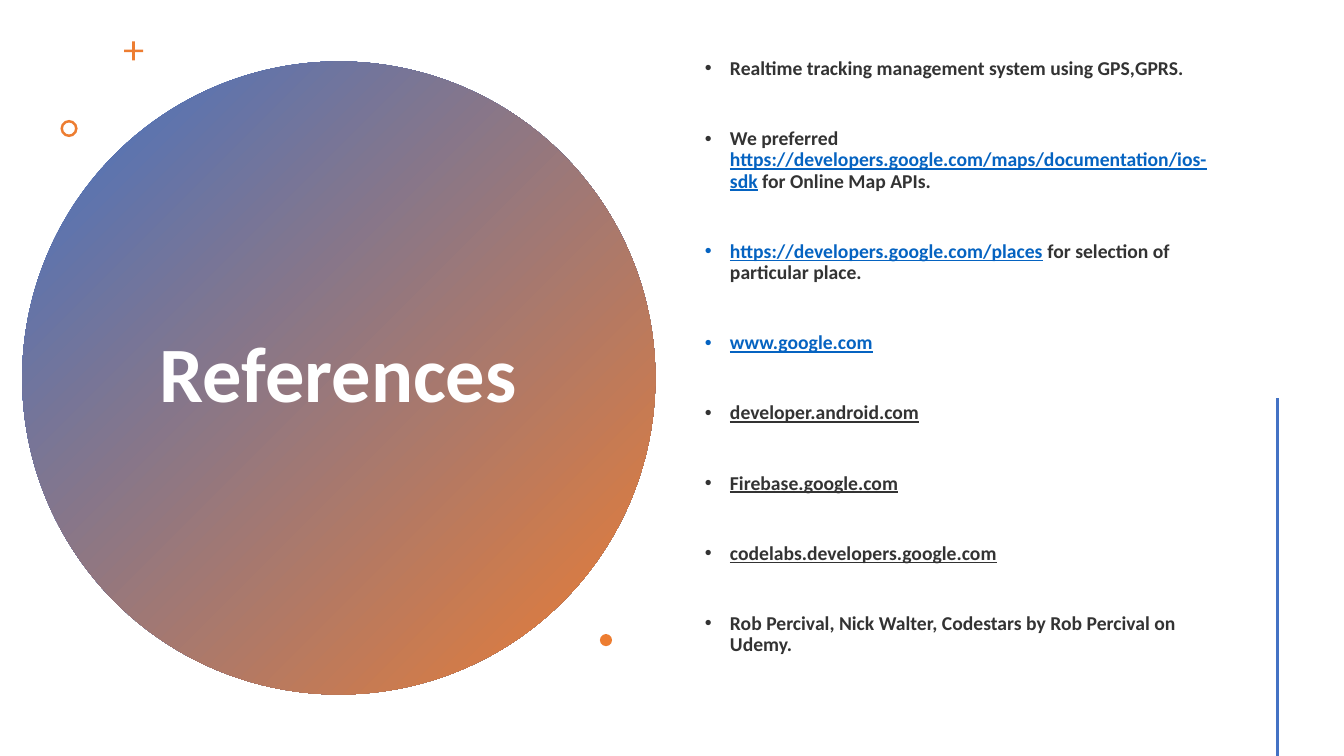
"""Build the References slide with its gradient circle, accents and source list."""
import lxml.etree
import pptx
import pptx.dml.color
import pptx.enum.shapes
import pptx.enum.text
import pptx.oxml.ns
import pptx.util
from pptx.util import Inches

BLUE = pptx.dml.color.RGBColor(0x44, 0x72, 0xC4)
ORANGE = pptx.dml.color.RGBColor(0xED, 0x7D, 0x31)
LINK_BLUE = pptx.dml.color.RGBColor(0x05, 0x63, 0xC1)
INK = pptx.dml.color.RGBColor(0x33, 0x33, 0x33)
WHITE = pptx.dml.color.RGBColor(0xFF, 0xFF, 0xFF)

PLAIN = (INK, False)
LINK = (LINK_BLUE, True)
SITE = (INK, True)

REFERENCES = [
    [("Realtime tracking management system using GPS,GPRS.", PLAIN)],
    [
        ("We preferred ", PLAIN),
        ("https://developers.google.com/maps/documentation/ios-sdk", LINK),
        (" for Online Map APIs.", PLAIN),
    ],
    [
        ("https://developers.google.com/places", LINK),
        (" for selection of particular place.", PLAIN),
    ],
    [("www.google.com", LINK)],
    [("developer.android.com", SITE)],
    [("Firebase.google.com", SITE)],
    [("codelabs.developers.google.com", SITE)],
    [("Rob Percival, Nick Walter, Codestars by Rob Percival on Udemy.", PLAIN)],
]


def place(element, left, top, width, height):
    """Move and size a slide element, in inches."""
    element.left, element.top = Inches(left), Inches(top)
    element.width, element.height = Inches(width), Inches(height)


def set_frame(frame):
    """Give a text frame the wrapping and anchoring shared by both placeholders."""
    frame.word_wrap = True
    frame.auto_size = pptx.enum.text.MSO_AUTO_SIZE.NONE
    frame.vertical_anchor = pptx.enum.text.MSO_ANCHOR.MIDDLE


def set_font(paragraph, size):
    """Set the bold Calibri face of a paragraph."""
    paragraph.line_spacing = 0.9
    paragraph.font.name = "Calibri"
    paragraph.font.size = pptx.util.Pt(size)
    paragraph.font.bold = True


def add_bullet(paragraph):
    """Give a paragraph a hanging round bullet."""
    properties = paragraph._p.get_or_add_pPr()
    properties.set("marL", str(Inches(0.25)))
    properties.set("indent", str(-Inches(0.25)))
    for tag, key, value in (("a:buFont", "typeface", "Arial"), ("a:buChar", "char", "•")):
        lxml.etree.SubElement(properties, pptx.oxml.ns.qn(tag)).set(key, value)


def add_accent(slide, preset, left, top, size, adjustment=None):
    """Add a small orange ornament."""
    accent = slide.shapes.add_shape(
        preset, Inches(left), Inches(top), Inches(size), Inches(size)
    )
    accent.shadow.inherit = False
    accent.fill.solid()
    accent.fill.fore_color.rgb = ORANGE
    accent.line.fill.background()
    if adjustment is not None:
        accent.adjustments[0] = adjustment


def add_title_circle(slide):
    """Add the gradient circle behind the title."""
    circle = slide.shapes.add_shape(
        pptx.enum.shapes.MSO_SHAPE.OVAL,
        Inches(0.22), Inches(0.61), Inches(6.28), Inches(6.28),
    )
    circle.shadow.inherit = False
    circle.line.fill.background()
    circle.fill.gradient()
    circle.fill.gradient_angle = 315
    for stop, color in zip(circle.fill.gradient_stops, (BLUE, ORANGE)):
        stop.color.rgb = color
    slide.shapes.title._element.addprevious(circle._element)


def fill_title(title):
    """Write the slide title."""
    place(title, 1.36, 1.41, 3.99, 4.67)
    set_frame(title.text_frame)
    heading = title.text_frame.paragraphs[0]
    heading.text = "References"
    heading.alignment = pptx.enum.text.PP_ALIGN.CENTER
    set_font(heading, 56)
    heading.font.color.rgb = WHITE


def fill_references(body):
    """Write the bulleted sources."""
    place(body, 6.89, 0.57, 5.22, 6.38)
    frame = body.text_frame
    set_frame(frame)
    frame.margin_bottom = Inches(0.48)
    for index, reference in enumerate(REFERENCES):
        entry = frame.paragraphs[0] if index == 0 else frame.add_paragraph()
        entry.space_before = pptx.util.Pt(35 if index else 0)
        add_bullet(entry)
        set_font(entry, 14)
        for wording, (color, underlined) in reference:
            part = entry.add_run()
            part.text = wording
            part.font.color.rgb = color
            part.font.underline = underlined


def add_side_rule(slide):
    """Add the vertical rule running off the bottom right."""
    rule = slide.shapes.add_connector(
        pptx.enum.shapes.MSO_CONNECTOR.STRAIGHT,
        Inches(12.67), Inches(3.95), Inches(12.67), Inches(7.5),
    )
    rule.line.color.rgb = BLUE
    rule.line.width = pptx.util.Pt(2)
    lxml.etree.SubElement(rule._element.spPr, pptx.oxml.ns.qn("a:effectLst"))


def main():
    """Build and save the slide."""
    deck = pptx.Presentation()
    deck.slide_width, deck.slide_height = Inches(13.33), Inches(7.5)
    slide = deck.slides.add_slide(deck.slide_layouts[1])
    presets = pptx.enum.shapes.MSO_SHAPE
    fill_title(slide.shapes.title)
    fill_references(slide.placeholders[1])
    add_title_circle(slide)
    add_accent(slide, presets.CROSS, 1.23, 0.41, 0.19, 0.43)
    add_accent(slide, presets.DONUT, 0.6, 1.19, 0.17, 0.15)
    add_accent(slide, presets.OVAL, 5.95, 6.29, 0.12)
    add_side_rule(slide)
    deck.save("out.pptx")


if __name__ == "__main__":
    main()
